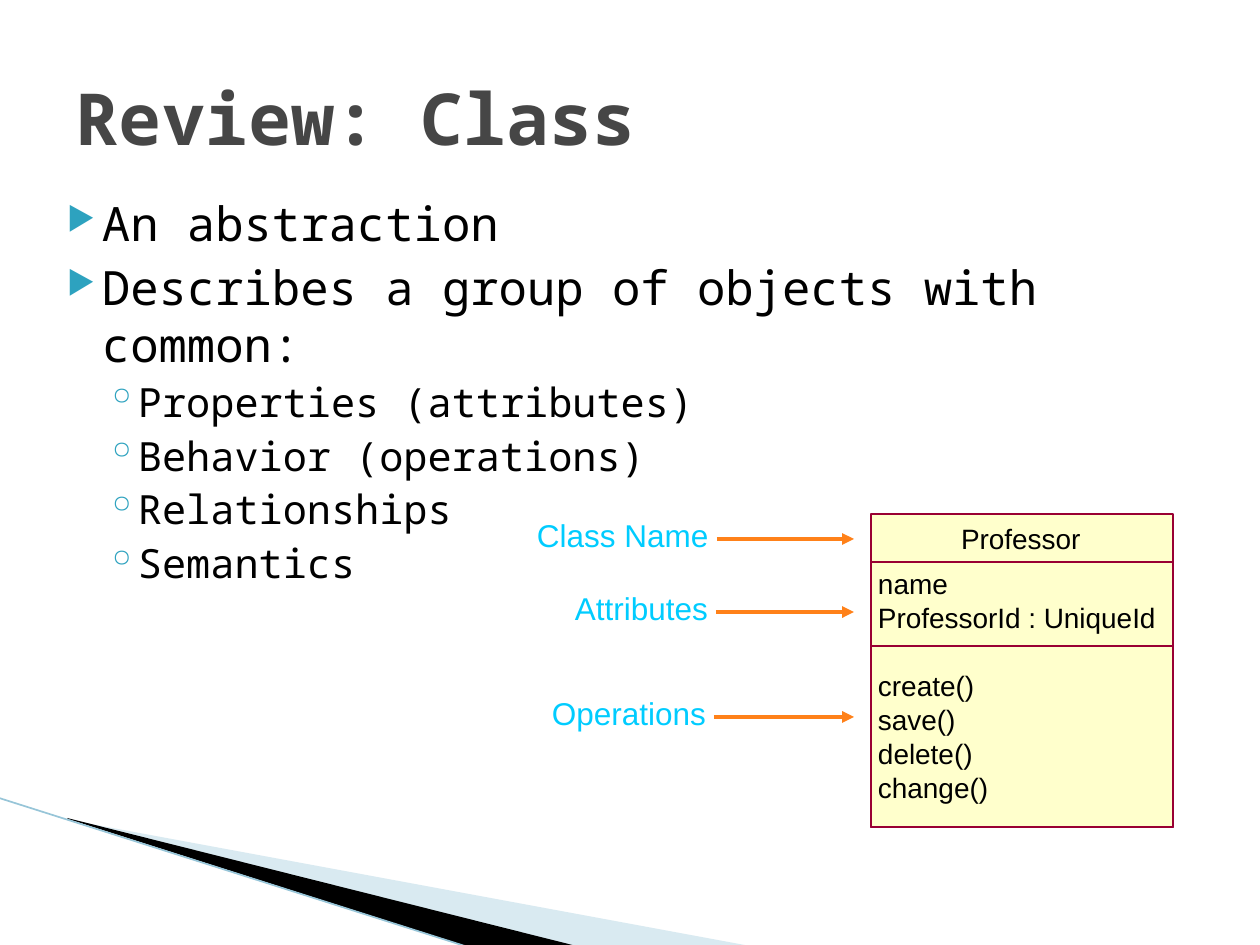
from lxml.etree import SubElement
from pptx import Presentation
from pptx.dml.color import RGBColor
from pptx.enum.shapes import MSO_CONNECTOR, MSO_SHAPE
from pptx.enum.text import MSO_ANCHOR
from pptx.oxml.ns import qn
from pptx.util import Pt

SCALE = 914400 / 126
BLACK = RGBColor(0, 0, 0)
GRAY = RGBColor(0x46, 0x46, 0x46)
PALE = RGBColor(0xA0, 0xCB, 0xDC)
EDGE = RGBColor(0x97, 0xC5, 0xD8)
TEAL = RGBColor(0x2D, 0xA2, 0xBF)
CYAN = RGBColor(0x00, 0xCC, 0xFF)
ORANGE = RGBColor(0xFF, 0x81, 0x19)
CREAM = RGBColor(0xFF, 0xFF, 0xCC)
WINE = RGBColor(0x99, 0x00, 0x33)
MONO = "Noto Sans Mono"
SANS = "Arial"


def px(n):
    return round(n * SCALE)


class Deck:
    def __init__(self, wide, high):
        self.prs = Presentation()
        self.prs.slide_width, self.prs.slide_height = px(wide), px(high)
        self.slide = self.prs.slides.add_slide(self.prs.slide_layouts[6])
        self.shapes = self.slide.shapes

    def wedge(self, points, color, alpha=None):
        pen = self.shapes.build_freeform(*points[0], scale=SCALE)
        pen.add_line_segments(points[1:], close=True)
        shape = pen.convert_to_shape()
        shape.shadow.inherit = False
        shape.line.fill.background()
        shape.fill.solid()
        shape.fill.fore_color.rgb = color
        if alpha:
            tint = shape.fill._xPr.find(".//" + qn("a:srgbClr"))
            SubElement(tint, qn("a:alpha"), val=str(alpha * 1000))

    def line(self, start, end, color, width, arrow=False):
        link = self.shapes.add_connector(
            MSO_CONNECTOR.STRAIGHT, *map(px, start + end))
        link.line.color.rgb = color
        link.line.width = Pt(width)
        if arrow:
            SubElement(link.line._get_or_add_ln(), qn("a:tailEnd"), type="triangle")
        SubElement(link._element.spPr, qn("a:effectLst"))

    def rect(self, x, y, w, h, fill=None):
        shape = self.shapes.add_shape(MSO_SHAPE.RECTANGLE, *map(px, (x, y, w, h)))
        shape.shadow.inherit = False
        shape.line.color.rgb = WINE
        shape.line.width = Pt(0)
        if fill:
            shape.fill.solid()
            shape.fill.fore_color.rgb = fill
        else:
            shape.fill.background()

    def frame(self, box, pad, wrap=False):
        frame = self.shapes.add_textbox(*map(px, box)).text_frame
        frame.word_wrap = wrap
        frame.margin_left = frame.margin_right = px(pad[0])
        frame.margin_top = frame.margin_bottom = px(pad[1])
        return frame

    def style(self, para, size, font, color, bold=False):
        for run in para.runs:
            run.font.size, run.font.name = Pt(size), font
            run.font.color.rgb, run.font.bold = color, bold

    def text(self, words, box, size, font, color, pad=(0, 0), bold=False, wrap=False):
        frame = self.frame(box, pad, wrap)
        frame.text = words
        frame.vertical_anchor = MSO_ANCHOR.MIDDLE if bold else MSO_ANCHOR.TOP
        self.style(frame.paragraphs[0], size, font, color, bold)

    def bullets(self, items, box):
        # Per level: size, left, hang, space before, line height, mark, mark size
        levels = [(27, 50, 35, 4, 32.5, "▶", 68), (23, 86, 32, 3.2, 27.5, "◦", 100)]
        frame = self.frame(box, (13, 6), wrap=True)
        for i, (level, words) in enumerate(items):
            size, left, hang, gap, high, mark, part = levels[level]
            para = frame.add_paragraph() if i else frame.paragraphs[0]
            para.text = words
            para.level = level
            para.line_spacing = Pt(high)
            para.space_before = Pt(gap if i else 0)
            props = para._p.get_or_add_pPr()
            props.set("marL", str(px(left)))
            props.set("indent", str(px(-hang)))
            tint = SubElement(props, qn("a:buClr"))
            SubElement(tint, qn("a:srgbClr"), val=str(TEAL))
            SubElement(props, qn("a:buSzPct"), val=str(part * 1000))
            SubElement(props, qn("a:buChar"), char=mark)
            self.style(para, size, MONO, BLACK)


def main():
    deck = Deck(1260, 945)

    # Corner wedges
    deck.wedge([(69, 820), (750, 946), (575, 946), (69, 819)], PALE, 40)
    deck.wedge([(67, 818), (576, 946), (469, 947), (68, 819)], BLACK)
    deck.line((-1, 798), (468, 947), EDGE, 0.95)

    # Title and body
    deck.bullets([
        (0, "An abstraction"),
        (0, "Describes a group of objects with common:"),
        (1, "Properties (attributes)"),
        (1, "Behavior (operations)"),
        (1, "Relationships"),
        (1, "Semantics"),
    ], (39, 188, 1169, 484))
    deck.text("Review: Class", (63, 38, 1134, 157), 41, MONO, GRAY,
              pad=(13, 6), bold=True, wrap=True)

    # Labels with arrows
    for words, left, top, start in [("Class Name", 522, 508, 717),
                                    ("Attributes", 560, 581, 716),
                                    ("Operations", 537, 686, 714)]:
        deck.text(words, (left, top, 726 - left, 53), 18, SANS, CYAN, pad=(15, 8))
        deck.line((start, top + 31), (854, top + 31), ORANGE, 2.25, arrow=True)

    # Class box: each part reaches down to the same bottom edge
    for top, fill in [(514, CREAM), (562, None), (646, None)]:
        deck.rect(871, top, 302, 827 - top, fill)
    deck.text("Professor", (961, 522, 134, 40), 16, SANS, BLACK)

    # Members, on rows of equal height with one row left free
    for row, words, wide in [(0, "name", 83), (1, "ProfessorId : UniqueId", 278),
                             (3, "create()", 106), (4, "save()", 88),
                             (5, "delete()", 106), (6, "change()", 122)]:
        deck.text(words, (878, 567 + 34 * row, wide, 40), 16, SANS, BLACK)

    deck.prs.save("out.pptx")


if __name__ == "__main__":
    main()
